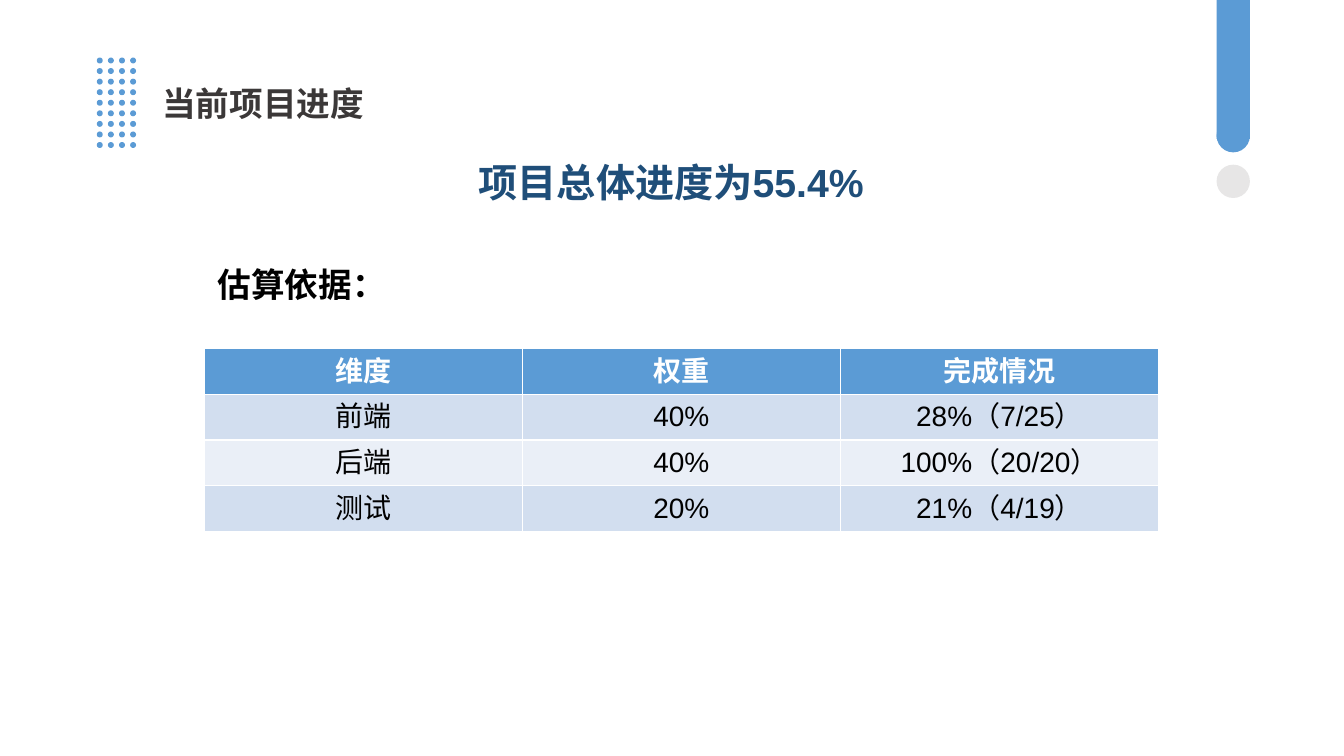
"""Build the project progress slide with its headline and weighting table."""
from dataclasses import dataclass
from itertools import product

from lxml.etree import SubElement
from pptx import Presentation
from pptx.dml.color import RGBColor
from pptx.enum.shapes import MSO_SHAPE
from pptx.enum.text import MSO_ANCHOR, MSO_AUTO_SIZE, PP_ALIGN
from pptx.oxml.ns import qn
from pptx.shapes.group import GroupShape
from pptx.slide import Slide
from pptx.text.text import _Paragraph as Paragraph
from pptx.util import Cm, Pt

FONT = "Arial"
COLORS = {
    "blue": "5B9BD5",
    "navy": "1F4E79",
    "charcoal": "3B3838",
    "black": "000000",
    "white": "FFFFFF",
    "grey": "E7E6E6",
    "dark_band": "D2DEEF",
    "light_band": "EAEFF7",
}


@dataclass
class Label:
    text: str
    left: float
    top: float
    width: float
    height: float
    size: int
    color: str
    align: PP_ALIGN = PP_ALIGN.CENTER
    wrap: bool = False


@dataclass
class Figure:
    kind: MSO_SHAPE
    left: float
    top: float
    width: float
    height: float
    color: str = "blue"


LABELS = [
    Label("当前项目进度", 3.84, 1.96, 6.15, 1.27, 24, "charcoal", PP_ALIGN.JUSTIFY, True),
    Label("项目总体进度为55.4%", 11.81, 3.86, 10.21, 1.45, 28, "navy"),
    Label("估算依据：", 5.23, 6.53, 4.75, 1.27, 24, "black"),
]
PROGRESS_ROWS = [
    ("维度", "权重", "完成情况"),
    ("前端", "40%", "28%（7/25）"),
    ("后端", "40%", "100%（20/20）"),
    ("测试", "20%", "21%（4/19）"),
]
COLUMN_WIDTH, ROW_HEIGHT = 8.02, 1.15
DOT_COLUMNS, DOT_ROWS, DOT_SIZE = 4, 9, 0.15
DOT_AREA_WIDTH, DOT_AREA_HEIGHT = 0.84, 2.13
DOTS = [
    Figure(
        MSO_SHAPE.OVAL,
        2.44 + DOT_AREA_WIDTH * column / (DOT_COLUMNS - 1),
        1.45 + DOT_AREA_HEIGHT * row / (DOT_ROWS - 1),
        DOT_SIZE,
        DOT_SIZE,
    )
    for column, row in product(range(DOT_COLUMNS), range(DOT_ROWS))
]
CORNER_MARK = [
    Figure(MSO_SHAPE.RECTANGLE, 30.66, 0, 0.84, 3.5),
    Figure(MSO_SHAPE.OVAL, 30.66, 3.0, 0.84, 0.84),
    Figure(MSO_SHAPE.OVAL, 30.66, 4.15, 0.84, 0.84, "grey"),
]


def color(name: str) -> RGBColor:
    return RGBColor.from_string(COLORS[name])


def write(paragraph: Paragraph, text: str, size: int, color_name: str,
          bold: bool, align: PP_ALIGN) -> None:
    paragraph.alignment = align
    run = paragraph.add_run()
    run.text = text
    for name, value in {"name": FONT, "size": Pt(size), "bold": bold}.items():
        setattr(run.font, name, value)
    run.font.color.rgb = color(color_name)
    SubElement(run.font._element, qn("a:ea")).set("typeface", FONT)


def draw_label(slide: Slide, label: Label) -> None:
    box = slide.shapes.add_textbox(
        Cm(label.left), Cm(label.top), Cm(label.width), Cm(label.height)
    )
    frame = box.text_frame
    frame.word_wrap = label.wrap
    frame.auto_size = MSO_AUTO_SIZE.SHAPE_TO_FIT_TEXT
    write(frame.paragraphs[0], label.text, label.size, label.color, True, label.align)


def draw_table(slide: Slide) -> None:
    column_count, row_count = len(PROGRESS_ROWS[0]), len(PROGRESS_ROWS)
    table = slide.shapes.add_table(
        row_count, column_count, Cm(5.14), Cm(8.79),
        Cm(COLUMN_WIDTH * column_count), Cm(ROW_HEIGHT * row_count),
    ).table
    for row_index, values in enumerate(PROGRESS_ROWS):
        header = row_index == 0
        band = "blue" if header else "dark_band" if row_index % 2 else "light_band"
        for column_index, value in enumerate(values):
            cell = table.cell(row_index, column_index)
            cell.vertical_anchor = MSO_ANCHOR.MIDDLE
            cell.fill.solid()
            cell.fill.fore_color.rgb = color(band)
            write(cell.text_frame.paragraphs[0], value, 20,
                  "white" if header else "black", header, PP_ALIGN.CENTER)


def draw_group(slide: Slide, figures: list[Figure]) -> GroupShape:
    group = slide.shapes.add_group_shape()
    for figure in figures:
        shape = group.shapes.add_shape(
            figure.kind, Cm(figure.left), Cm(figure.top), Cm(figure.width), Cm(figure.height)
        )
        shape.shadow.inherit = False
        shape.fill.solid()
        shape.fill.fore_color.rgb = color(figure.color)
        shape.line.fill.background()
    return group


def main() -> None:
    presentation = Presentation()
    presentation.slide_width, presentation.slide_height = Cm(33.87), Cm(19.05)
    slide = presentation.slides.add_slide(presentation.slide_layouts[6])
    for label in LABELS:
        draw_label(slide, label)
    draw_table(slide)
    for figures in (DOTS, CORNER_MARK):
        draw_group(slide, figures)
    presentation.save("out.pptx")


if __name__ == "__main__":
    main()
